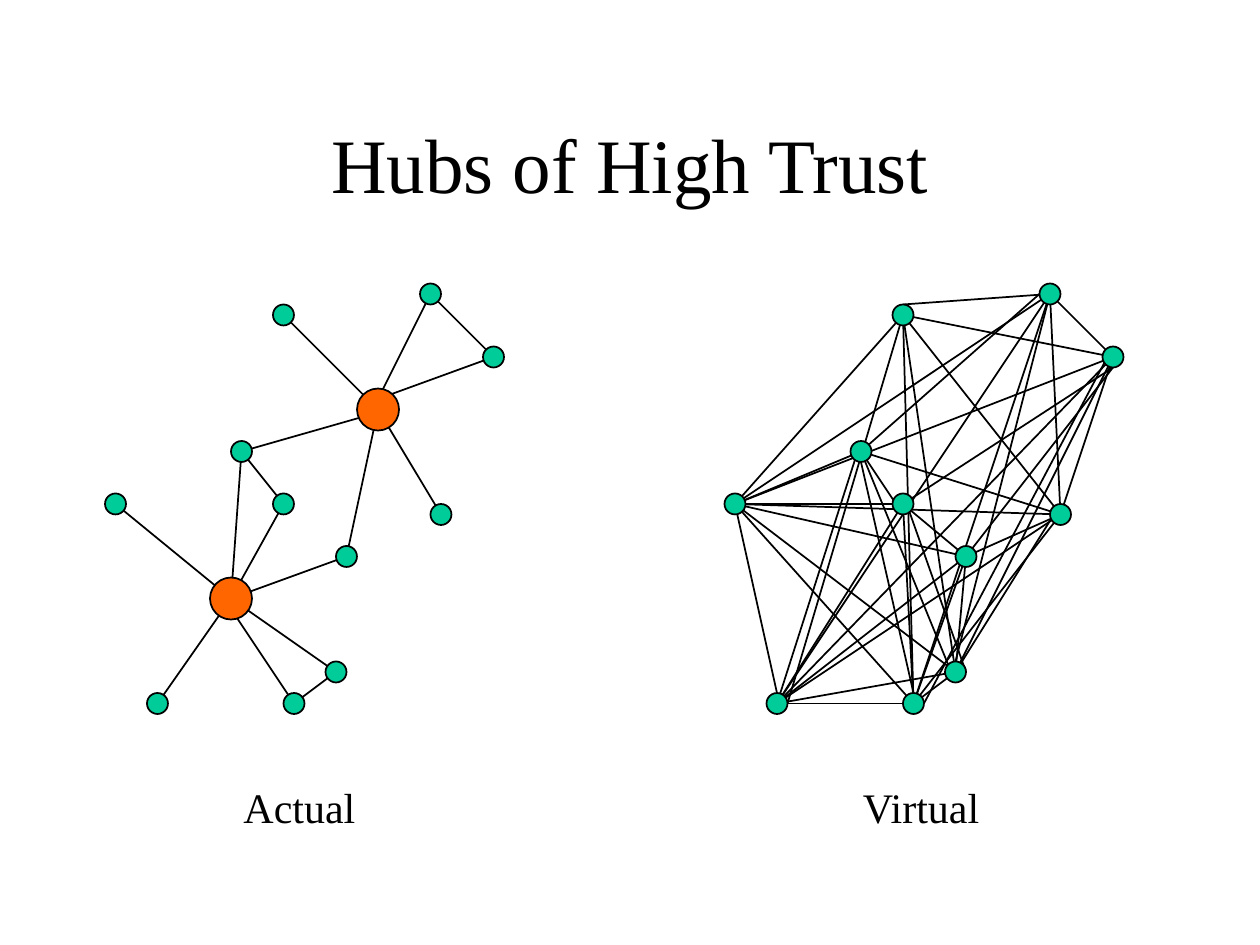
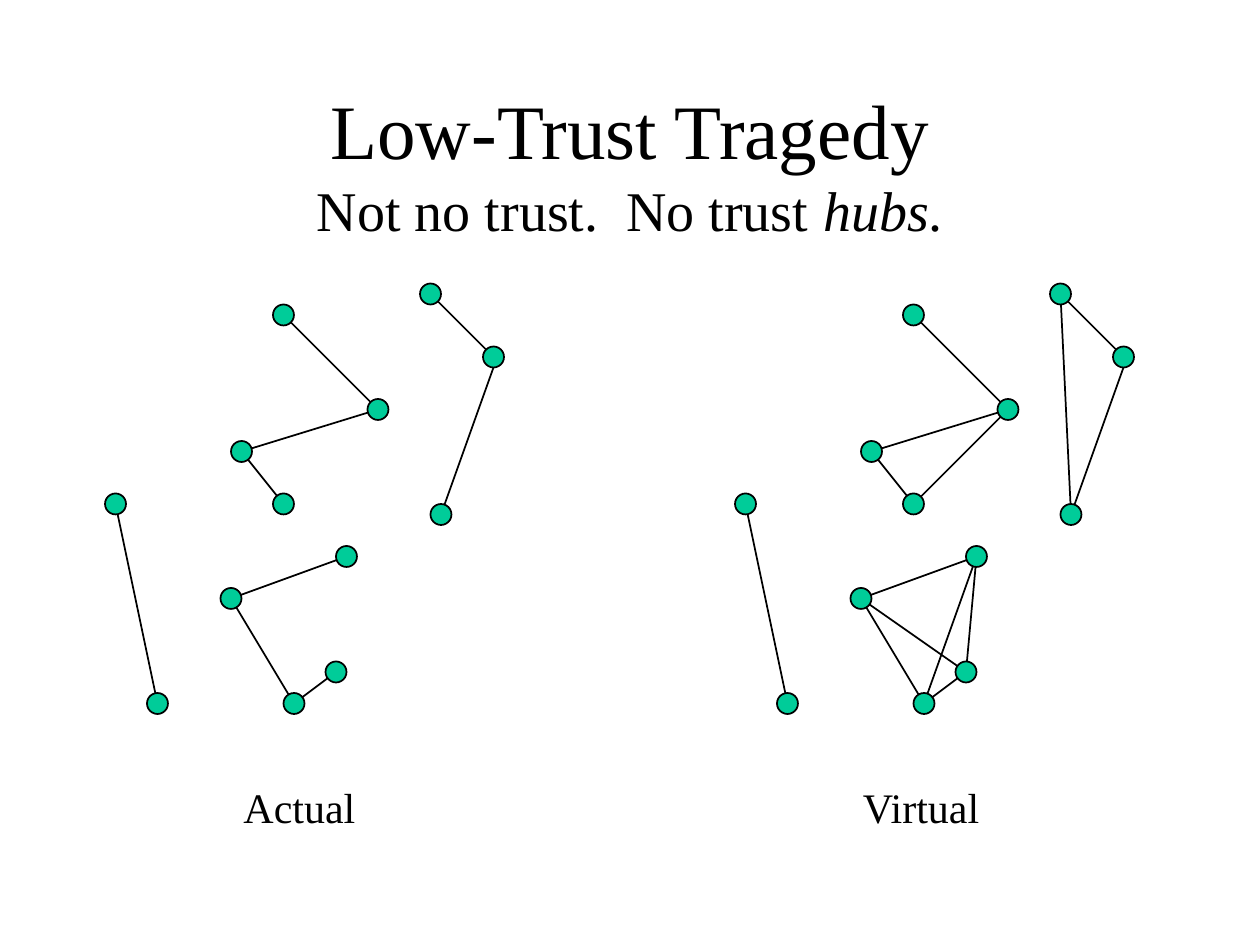
from itertools import combinations

from lxml import etree
from pptx import Presentation
from pptx.dml.color import RGBColor
from pptx.enum.shapes import MSO_CONNECTOR, MSO_SHAPE
from pptx.enum.text import MSO_ANCHOR, MSO_AUTO_SIZE, PP_ALIGN
from pptx.oxml.ns import qn
from pptx.util import Inches, Pt

BLACK = RGBColor(0x00, 0x00, 0x00)
GREEN = RGBColor(0x00, 0xCC, 0x99)
ORANGE = RGBColor(0xFF, 0x66, 0x00)
FONT = "Times New Roman"
STRAIGHT = MSO_CONNECTOR.STRAIGHT
OVAL = MSO_SHAPE.OVAL
LEFT, CENTER = PP_ALIGN.LEFT, PP_ALIGN.CENTER
TITLE_FRAME = {"word_wrap": True, "auto_size": MSO_AUTO_SIZE.NONE,
               "vertical_anchor": MSO_ANCHOR.MIDDLE}
CAPTION_FRAME = {"word_wrap": False, "auto_size": MSO_AUTO_SIZE.SHAPE_TO_FIT_TEXT,
                 "vertical_anchor": MSO_ANCHOR.TOP}

# Grid: 12 columns and rows to the inch
UNIT = Inches(1) / 12

# People as (column, row); N and S are the possible hubs
PEOPLE = {
    "A": (11, 48), "B": (15, 67), "C": (28, 67), "D": (32, 64), "E": (33, 53),
    "F": (23, 43), "G": (27, 48), "H": (27, 30), "I": (41, 28), "J": (47, 34),
    "K": (42, 49), "N": (36, 39), "S": (22, 57),
}

# Ties that end one grid step away from a person's centre
STEPS = {"^": (0, -1), "v": (0, 1), "<": (-1, 0), ">": (1, 0)}
HUB_NUDGES = {"FN": "N>", "IN": "N^", "JN": "N^", "CS": "Sv"}
MESH_NUDGES = {
    "AB": "B^", "BC": "B>", "BF": "F^", "BH": "B>", "CF": "C^Fv", "CJ": "C>J^",
    "DK": "K^", "DG": "D>G^", "DF": "Dv", "DI": "D^", "JG": "Jv", "JE": "Jv",
    "IH": "H^", "IF": "I<", "FG": "Gv",
}
LOW_NUDGES = {"JK": "Jv"}

# Ties between people
HUB_TIES = "FS HN IN JN KN IJ EN ES GS FN FG DS CS CD BS AS".split()
UNTIED = "KG JF IG IE HF HG HE FE".split()
MESH_TIES = [a + b for a, b in combinations("ABCDKJIHFGE", 2) if a + b not in UNTIED]
LOW_TIES = "FN HN IJ ES FG CS CD AB JK".split()
CLOSED_TIES = LOW_TIES + "NG IK ED EC SD".split()

# Slides: title runs (text, size, italic), then diagrams (column shift, hubs, ties, nudges)
SLIDES = [
    ([("Hubs of High Trust", 44, False)],
     [(0, "NS", HUB_TIES, HUB_NUDGES), (59, "", MESH_TIES, MESH_NUDGES)]),
    ([("Low-Trust Tragedy", 44, False), None,
      ("Not no trust.  No trust ", 32, False), ("hubs", 32, True), (".", 32, False)],
     [(0, "", LOW_TIES, LOW_NUDGES), (60, "", CLOSED_TIES, LOW_NUDGES)]),
]
# Captions: text, column, width
CAPTIONS = [("Actual", 22, 13.1), ("Virtual", 81, 13.7)]


def add_text(slide, box, runs, align, frame):
    sp = slide.shapes.add_textbox(*(round(v * UNIT) for v in box))
    tf = sp.text_frame
    for name, value in frame.items():
        setattr(tf, name, value)
    p = tf.paragraphs[0]
    p.alignment = align
    for run in runs:
        if run is None:
            p.add_line_break()
            continue
        r = p.add_run()
        r.text, size, italic = run
        for name, value in {"name": FONT, "size": Pt(size), "italic": italic}.items():
            setattr(r.font, name, value)
        r.font.color.rgb = BLACK


def add_diagram(slide, shift, hubs, ties, nudges):
    # Ties
    for tie in ties:
        ends = {name: PEOPLE[name] for name in tie}
        nudge = nudges.get(tie, "")
        for name, step in zip(nudge[::2], nudge[1::2]):
            (x, y), (dx, dy) = ends[name], STEPS[step]
            ends[name] = (x + dx, y + dy)
        (x1, y1), (x2, y2) = ends.values()
        points = (x1 + shift, y1, x2 + shift, y2)
        line = slide.shapes.add_connector(STRAIGHT, *(round(v * UNIT) for v in points))
        line.line.color.rgb = BLACK
        line.line.width = Pt(1)
        etree.SubElement(line._element.spPr, qn("a:effectLst"))

    # People on top, only those who have a tie
    for name in sorted(set("".join(ties))):
        x, y = PEOPLE[name]
        radius = 2 if name in hubs else 1
        box = (x + shift - radius, y - radius, 2 * radius, 2 * radius)
        sp = slide.shapes.add_shape(OVAL, *(round(v * UNIT) for v in box))
        sp.shadow.inherit = False
        sp.fill.solid()
        sp.fill.fore_color.rgb = ORANGE if name in hubs else GREEN
        sp.line.color.rgb = BLACK
        sp.line.width = Pt(1)


prs = Presentation()
prs.slide_width, prs.slide_height = Inches(10), Inches(7.5)
blank = prs.slide_layouts[6]

for title, diagrams in SLIDES:
    s = prs.slides.add_slide(blank)
    add_text(s, (9, 8, 102, 15), title, CENTER, TITLE_FRAME)
    for diagram in diagrams:
        add_diagram(s, *diagram)
    for text, column, width in CAPTIONS:
        add_text(s, (column, 73.8, width, 6), [(text, 24, False)], LEFT, CAPTION_FRAME)

prs.save("out.pptx")
